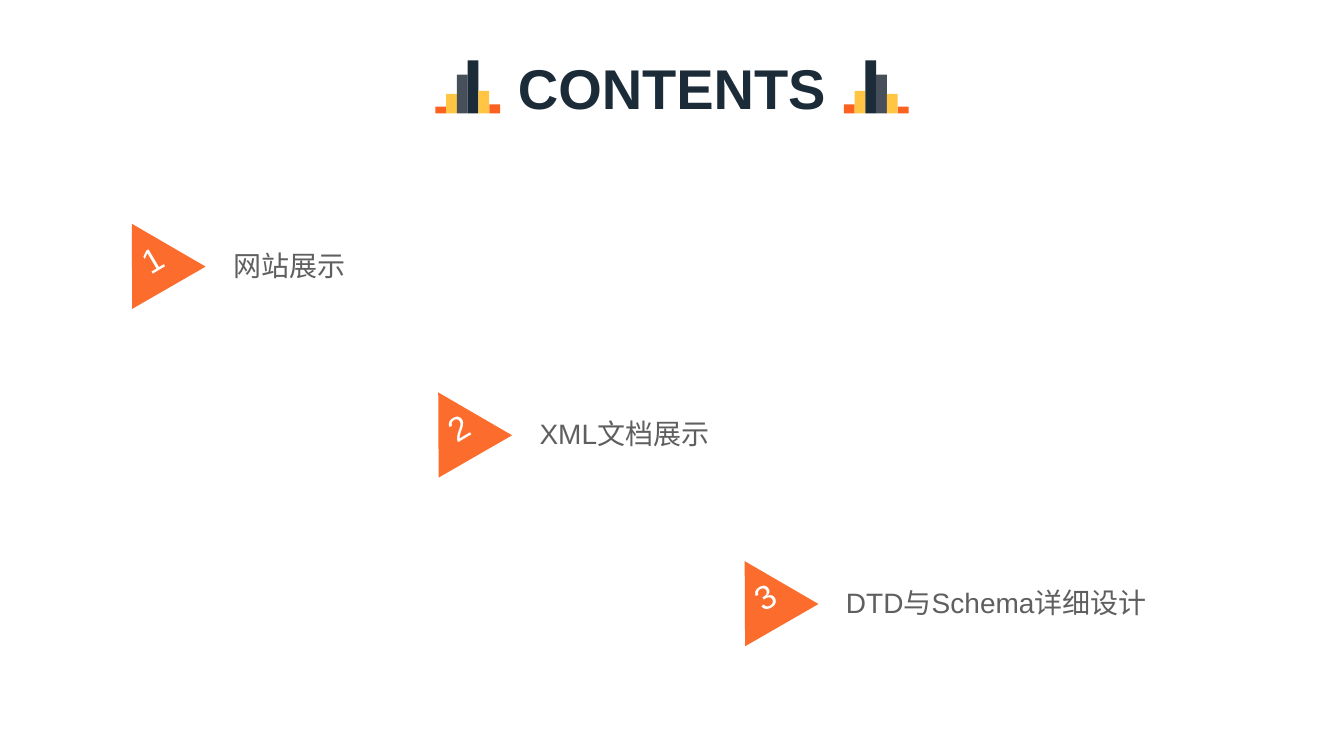
from dataclasses import dataclass

from pptx import Presentation
from pptx.dml.color import RGBColor
from pptx.enum.shapes import MSO_SHAPE
from pptx.enum.text import MSO_ANCHOR, PP_ALIGN
from pptx.util import Pt

RECTANGLE = MSO_SHAPE.RECTANGLE
MIDDLE = MSO_ANCHOR.MIDDLE
LEFT = PP_ALIGN.LEFT
CENTER = PP_ALIGN.CENTER


@dataclass(frozen=True)
class Theme:
    font: str = "Arial"
    navy: str = "1C2B38"
    slate: str = "464F5A"
    yellow: str = "FFC543"
    red_orange: str = "FC611F"
    orange: str = "FC6C2C"
    gray: str = "5F5F5F"
    white: str = "FFFFFF"
    title_size: float = 40
    number_size: float = 24
    item_size: float = 20


THEME = Theme()
BARS = (
    (4.9, THEME.red_orange),
    (14, THEME.yellow),
    (27.8, THEME.slate),
    (37.9, THEME.navy),
    (16.2, THEME.yellow),
    (6.6, THEME.red_orange),
)
BAR_WIDTH = 7.7
BARS_BOTTOM = 81.1
TRIANGLE = ((30.9, 0), (60.5, 53.3), (0, 52.4))
TRIANGLE_ROTATION = 329.2
ITEMS = ("网站展示", "XML文档展示", "DTD与Schema详细设计")
FIRST_LEFT, FIRST_TOP = 77, 156.4
STEP_RIGHT, STEP_DOWN = 218.9, 120.5


def fill_plain(shape, color):
    shape.shadow.inherit = False
    shape.fill.solid()
    shape.fill.fore_color.rgb = RGBColor.from_string(color)
    shape.line.fill.background()


def write_text(shape, text, size, color, alignment, margins, bold=False):
    frame = shape.text_frame
    frame.word_wrap = True
    frame.vertical_anchor = MIDDLE
    frame.margin_left, frame.margin_top, frame.margin_right, frame.margin_bottom = map(Pt, margins)
    paragraph = frame.paragraphs[0]
    paragraph.alignment = alignment
    run = paragraph.add_run()
    run.text = text
    run.font.name = THEME.font
    run.font.size = Pt(size)
    run.font.bold = bold
    run.font.color.rgb = RGBColor.from_string(color)


def add_title(slide, text):
    box = slide.shapes.add_textbox(Pt(357.1), Pt(23), Pt(245.5), Pt(77.8))
    write_text(box, text, THEME.title_size, THEME.navy, CENTER, (7.2, 3.6, 7.2, 3.6), bold=True)


def add_skyline(slide, left, bars):
    group = slide.shapes.add_group_shape()
    for index, (height, color) in enumerate(bars):
        bar = group.shapes.add_shape(
            RECTANGLE, Pt(left + index * BAR_WIDTH), Pt(BARS_BOTTOM - height), Pt(BAR_WIDTH), Pt(height)
        )
        fill_plain(bar, color)


def add_item(slide, number, text, left, top):
    group = slide.shapes.add_group_shape()
    label = group.shapes.add_textbox(Pt(left + 89.5), Pt(top + 2.2), Pt(279.4), Pt(61.2))
    write_text(label, text, THEME.item_size, THEME.gray, LEFT, (0, 0, 0, 0))

    corners = [(Pt(left + x), Pt(top + y)) for x, y in TRIANGLE]
    builder = group.shapes.build_freeform(*corners[0])
    builder.add_line_segments(corners[1:], close=True)
    marker = builder.convert_to_shape()
    marker.rotation = TRIANGLE_ROTATION
    fill_plain(marker, THEME.orange)
    write_text(marker, str(number), THEME.number_size, THEME.white, CENTER, (0, 4.3, 0, 0))


def main():
    presentation = Presentation()
    presentation.slide_width = Pt(960)
    presentation.slide_height = Pt(540)
    slide = presentation.slides.add_slide(presentation.slide_layouts[6])

    add_title(slide, "CONTENTS")
    add_skyline(slide, 311, BARS)
    add_skyline(slide, 602.8, BARS[::-1])
    for index, text in enumerate(ITEMS):
        add_item(slide, index + 1, text, FIRST_LEFT + index * STEP_RIGHT, FIRST_TOP + index * STEP_DOWN)

    presentation.save("out.pptx")


if __name__ == "__main__":
    main()
